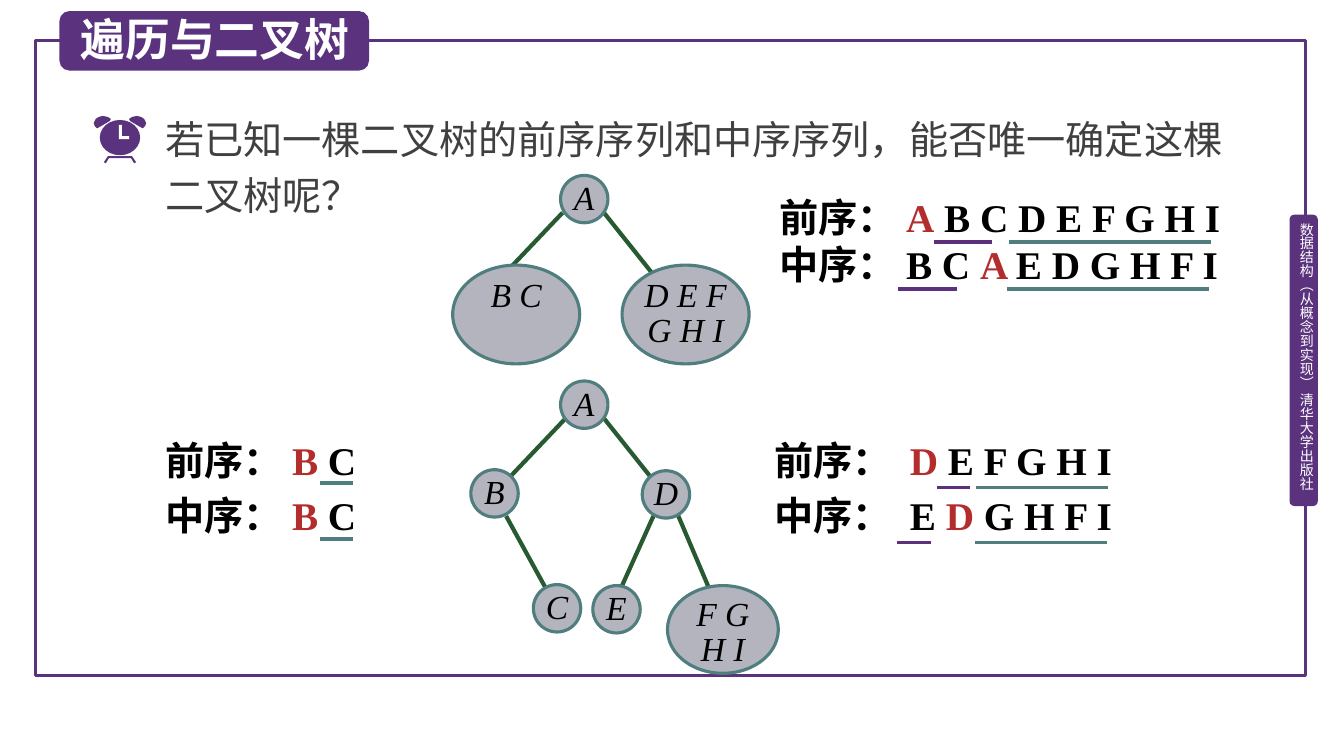
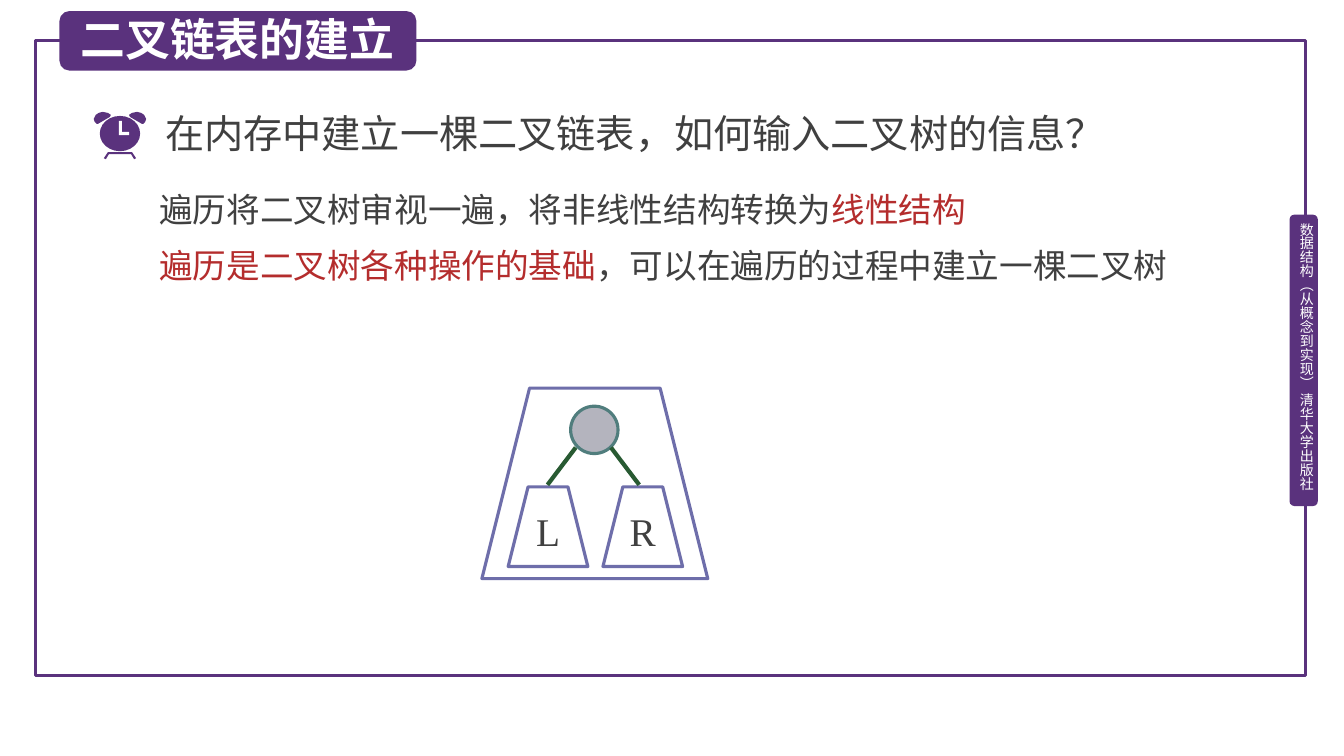
import pptx
import pptx.util
import pptx.dml.color
import pptx.enum.shapes
import pptx.enum.text
import pptx.oxml.ns
from lxml import etree

Inches = pptx.util.Inches
Pt = pptx.util.Pt
SHAPE = pptx.enum.shapes.MSO_SHAPE
ALIGN = pptx.enum.text.PP_ALIGN
ANCHOR = pptx.enum.text.MSO_ANCHOR
qn = pptx.oxml.ns.qn

COLORS = {
    "purple": "5A327D", "underline": "5C307D", "teal": "507D7D",
    "green": "285A32", "node": "B4B4BE", "subtree": "6E6EAA",
    "red": "B42D2D", "gray": "404040", "black": "000000", "white": "FFFFFF",
}
SANS = "Noto Sans CJK SC"
SERIF = "Times New Roman"
NODE = 0.47
INSETS = (0.1, 0.05, 0.1, 0.05)

# Alarm clock outlines, measured from the top middle of the icon
EAR = [(-0.09, 0.03), (-0.12, 0.01), (-0.17, 0), (-0.21, 0.01), (-0.24, 0.03),
       (-0.26, 0.07), (-0.25, 0.1), (-0.23, 0.12), (-0.22, 0.12), (-0.1, 0.05)]
HANDS = [(-0.01, 0.09), (0.02, 0.09), (0.02, 0.2), (0.09, 0.2), (0.09, 0.23), (-0.01, 0.23)]
FEET = [(-0.12, 0.4), (0.12, 0.4), (0.16, 0.46), (0.14, 0.47), (0.11, 0.42),
        (-0.11, 0.42), (-0.14, 0.47), (-0.16, 0.46)]


def rgb(name):
    return pptx.dml.color.RGBColor.from_string(COLORS[name])


class Deck:
    def __init__(self):
        self.deck = pptx.Presentation()
        self.deck.slide_width = Inches(13.33)
        self.deck.slide_height = Inches(7.5)
        self.page = None

    def new_page(self, title, title_width):
        """Start a slide with its frame, side tab and title band."""
        self.page = self.deck.slides.add_slide(self.deck.slide_layouts[6])
        self.shape(SHAPE.RECTANGLE, 0.35, 0.4, 12.6, 6.3, line="purple")
        self.shape(SHAPE.ROUNDED_RECTANGLE, 12.79, 2.13, 0.28, 2.89, fill="purple")
        tab = self.text(12.87, 2.21, 0.17, 2.81,
                        [[("数据结构（从概念到实现） 清华大学出版社", "white")]],
                        size=10, insets=(0, 0, 0, 0))
        tab.text_frame._txBody.bodyPr.set("vert", "eaVert")
        self.shape(SHAPE.ROUNDED_RECTANGLE, 0.59, 0.11, title_width, 0.59, fill="purple")
        self.text(0.7, 0.07, title_width, 0.64, [[(title, "white")]],
                  size=32, bold=True, leading=38.4)

    def paint(self, shape, fill=None, line=None):
        shape.shadow.inherit = False
        if fill:
            shape.fill.solid()
            shape.fill.fore_color.rgb = rgb(fill)
        else:
            shape.fill.background()
        if line:
            shape.line.color.rgb = rgb(line)
            shape.line.width = Pt(2.25)
        else:
            shape.line.fill.background()
        return shape

    def shape(self, kind, left, top, width, height, fill=None, line=None):
        shape = self.page.shapes.add_shape(
            kind, Inches(left), Inches(top), Inches(width), Inches(height))
        return self.paint(shape, fill, line)

    def outline(self, points, center, top, fill):
        corners = [(Inches(center + x), Inches(top + y)) for x, y in points]
        builder = self.page.shapes.build_freeform(*corners[0])
        builder.add_line_segments(corners[1:], close=True)
        return self.paint(builder.convert_to_shape(), fill)

    def fill_text(self, shape, paragraphs, size, font=SANS, bold=False, italic=False,
                  leading=None, gap=0, align=None, insets=INSETS, anchor=ANCHOR.TOP):
        """Fill a shape with paragraphs, each a list of (text, colour) spans."""
        frame = shape.text_frame
        frame.word_wrap = True
        frame.vertical_anchor = anchor
        (frame.margin_left, frame.margin_top,
         frame.margin_right, frame.margin_bottom) = map(Inches, insets)
        for index, spans in enumerate(paragraphs):
            para = frame.add_paragraph() if index else frame.paragraphs[0]
            if align is not None:
                para.alignment = align
            if leading:
                para.line_spacing = Pt(leading)
            if index and gap:
                para.space_before = Pt(gap)
            for words, color in spans:
                span = para.add_run()
                span.text = words
                span.font.name = font
                span.font.size = Pt(size)
                span.font.bold = bold
                span.font.italic = italic
                span.font.color.rgb = rgb(color)
                east_asian = etree.SubElement(span._r.get_or_add_rPr(), qn("a:ea"))
                east_asian.set("typeface", SANS)
        return shape

    def text(self, left, top, width, height, paragraphs, **style):
        box = self.page.shapes.add_textbox(
            Inches(left), Inches(top), Inches(width), Inches(height))
        return self.fill_text(box, paragraphs, **style)

    def line(self, start, end, color, weight=3):
        connector = self.page.shapes.add_connector(
            pptx.enum.shapes.MSO_CONNECTOR.STRAIGHT,
            *(Inches(value) for value in (*start, *end)))
        connector.line.color.rgb = rgb(color)
        connector.line.width = Pt(weight)
        etree.SubElement(connector._element.spPr, qn("a:effectLst"))

    def underline(self, left, top, width, color, weight=3):
        self.line((left, top), (left + width, top), color, weight)

    def node(self, left, top, *rows, width=NODE, height=NODE):
        ellipse = self.shape(SHAPE.OVAL, left, top, width, height, "node", "teal")
        if rows:
            self.fill_text(ellipse, [[(row, "black")] for row in rows], size=24, font=SERIF,
                           italic=True, leading=25, align=ALIGN.CENTER, insets=(0, 0, 0, 0))

    def subtree(self, left, top, width, height, label=None):
        trapezoid = self.shape(SHAPE.TRAPEZOID, left, top, width, height, line="subtree")
        if label:
            self.fill_text(trapezoid, [[(label, "gray")]], size=28, font=SERIF, leading=30,
                           align=ALIGN.CENTER, anchor=ANCHOR.MIDDLE)

    def clock(self, top, center=1.19):
        self.outline(FEET, center, top, "purple")
        for side in (1, -1):
            self.outline([(side * x, y) for x, y in EAR], center, top, "purple")
        self.shape(SHAPE.OVAL, center - 0.2, top + 0.04, 0.4, 0.35, "purple")
        self.outline(HANDS, center, top, "white")

    def sequences(self, left, top, width, height, paragraphs):
        self.text(left, top, width, height, paragraphs, size=28, font=SERIF,
                  bold=True, leading=33.6, gap=5.6)


def traversal_page(deck):
    deck.new_page("遍历与二叉树", 3.07)
    deck.text(1.54, 1.01, 10.86, 1.22,
              [[("若已知一棵二叉树的前序序列和中序序列，能否唯一确定这棵二叉树呢？", "gray")]],
              size=28, leading=40)
    deck.clock(1.15)

    # Sequences of the whole tree, the left and the right subtree
    deck.sequences(7.63, 1.87, 4.75, 1.03, [[
        ("前序：", "black"), ("A", "red"), (" B C D E F G H I", "black"),
        ("中序：B C ", "black"), ("A ", "red"), ("E D G H F I", "black")]])
    deck.sequences(1.54, 4.28, 2.38, 1.13, [
        [(name, "black"), ("B", "red"), (" C", "black")] for name in ("前序：", "中序：")])
    deck.sequences(7.58, 4.28, 3.93, 1.13, [
        [("前序： ", "black"), ("D", "red"), (" E F G H I", "black")],
        [("中序： E ", "black"), ("D", "red"), (" G H F I", "black")]])

    # Underlines mark the left (purple) and right (teal) parts
    for top, left_part, right_part in ((2.4, 9.26, 10.01), (2.87, 8.91, 9.99)):
        deck.underline(left_part, top, 0.58, "underline")
        deck.underline(right_part, top, 2, "teal")
    for top, left_part, right_part in ((4.84, 9.29, 9.68), (5.38, 8.9, 9.67)):
        deck.underline(left_part, top, 0.33, "underline", 2.25)
        deck.underline(right_part, top, 1.31, "teal", 2.25)
    for top in (4.79, 5.35):
        deck.underline(3.17, top, 0.33, "teal")

    # Edges of both trees
    for start, end in (
            ((5.58, 2.11), (5.02, 2.7)), ((5.99, 2.11), (6.46, 2.7)),
            ((5.61, 4.15), (5.05, 4.74)), ((5.99, 4.15), (6.46, 4.74)),
            ((5.02, 5.12), (5.41, 5.83)), ((6.49, 5.1), (6.17, 5.81)),
            ((6.72, 5.1), (7.03, 5.83))):
        deck.line(start, end, "green")

    # First split
    deck.node(5.56, 1.74, "A")
    deck.node(4.49, 2.63, "B C", width=1.26, height=0.98)
    deck.node(6.17, 2.63, "D E F", "G H I", width=1.26, height=0.98)

    # Second split
    for left, top, name in ((5.56, 3.78, "A"), (4.67, 4.66, "B"), (6.37, 4.67, "D"),
                            (5.29, 5.8, "C"), (5.88, 5.81, "E")):
        deck.node(left, top, name)
    deck.node(6.62, 5.81, "F G", "H I", width=1.1, height=0.87)


def linked_page(deck):
    deck.new_page("二叉链表的建立", 3.54)
    deck.text(1.54, 1.04, 9.76, 0.57,
              [[("在内存中建立一棵二叉链表，如何输入二叉树的信息？", "gray")]],
              size=28, leading=33.6)
    deck.clock(1.11)
    deck.text(1.58, 1.67, 11.22, 1.22, [
        [("遍历将二叉树审视一遍，将非线性结构转换为", "gray"), ("线性结构", "red")],
        [("遍历是二叉树各种操作的基础", "red"),
         ("，可以在遍历的过程中建立一棵二叉树", "gray")]],
        size=24, leading=40, insets=(0, 0.05, 0, 0.05))

    # Root with its left and right subtrees
    deck.subtree(4.78, 3.85, 2.24, 1.89)
    deck.node(5.66, 4.03)
    for left, label, start, end in ((5.04, "L", 5.71, 5.43), (5.98, "R", 6.06, 6.34)):
        deck.subtree(left, 4.83, 0.79, 0.79, label)
        deck.line((start, 4.44), (end, 4.81), "green")


def main():
    deck = Deck()
    traversal_page(deck)
    linked_page(deck)
    deck.deck.save("out.pptx")


if __name__ == "__main__":
    main()
